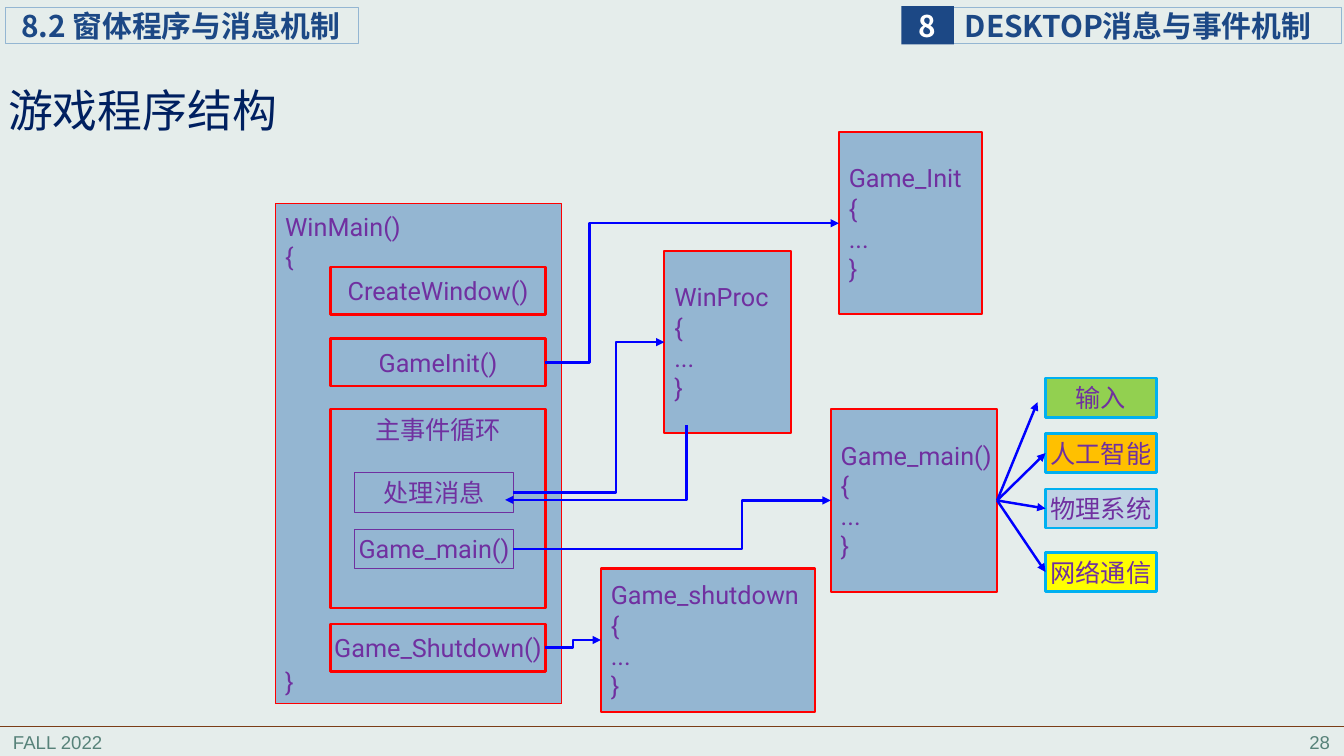
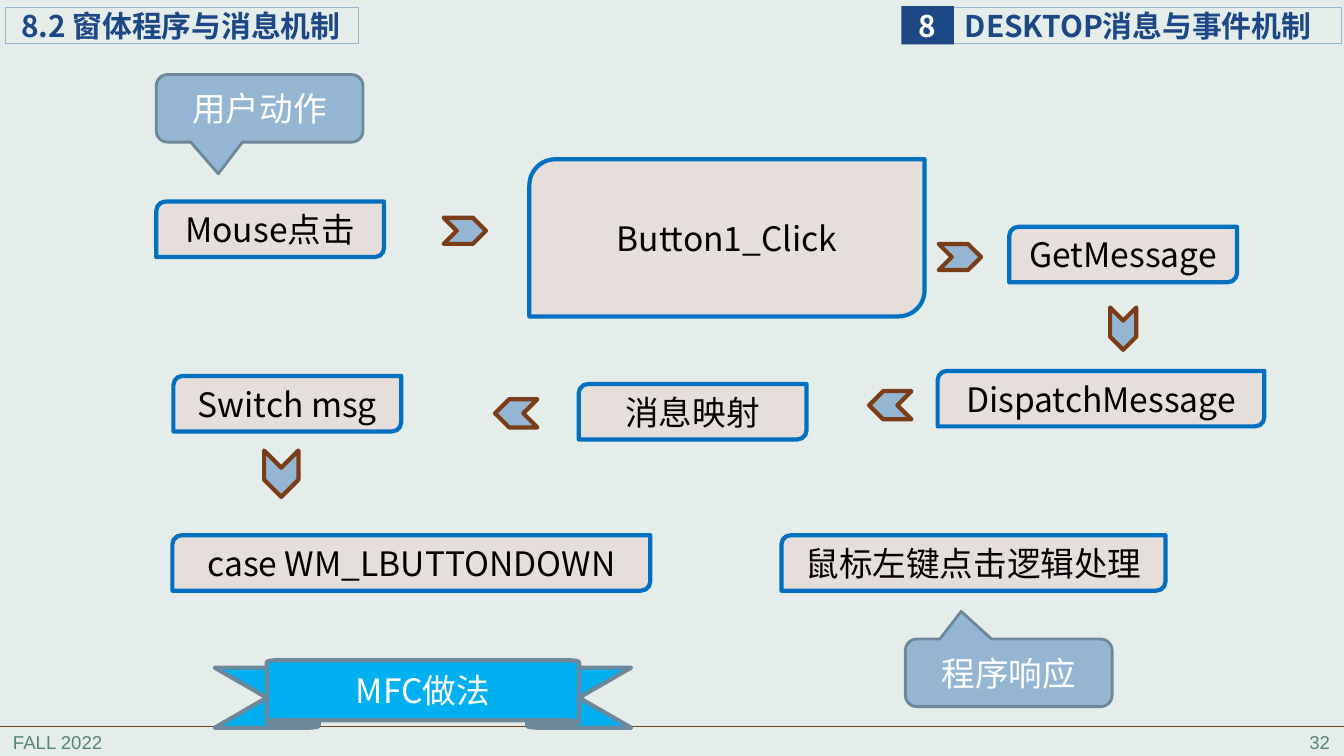
from lxml import etree
from pptx import Presentation
from pptx.dml.color import RGBColor
from pptx.enum.shapes import MSO_CONNECTOR, MSO_SHAPE
from pptx.enum.text import MSO_ANCHOR, PP_ALIGN
from pptx.oxml.ns import qn
from pptx.util import Inches, Pt

COLORS = {
    "background": "E5EDEB", "footer": "578279", "navy": "1C4885", "title": "002060",
    "blue": "94B6D2", "brown": "7B3D17", "white": "FFFFFF", "black": "000000",
    "red": "FF0000", "purple": "7030A0", "arrow": "0000FF", "cyan": "00B0F0",
    "green": "92D050", "orange": "FFC000", "pale": "BFD3E4", "yellow": "FFFF00",
    "beige": "E6DEDB", "step": "0070C0", "slate": "6D879B",
}
CJK = "Noto Sans CJK SC"
CODE = "Roboto"
FOOTER_FONT = "Arial"

LEFT, CENTER, RIGHT = PP_ALIGN.LEFT, PP_ALIGN.CENTER, PP_ALIGN.RIGHT
TOP, MIDDLE = MSO_ANCHOR.TOP, MSO_ANCHOR.MIDDLE
STRAIGHT, ELBOW = MSO_CONNECTOR.STRAIGHT, MSO_CONNECTOR.ELBOW
RECTANGLE, PROCESS = MSO_SHAPE.RECTANGLE, MSO_SHAPE.FLOWCHART_PROCESS
STEP, CHEVRON = MSO_SHAPE.ROUND_2_DIAG_RECTANGLE, MSO_SHAPE.CHEVRON
CALLOUT, RIBBON = MSO_SHAPE.ROUNDED_RECTANGULAR_CALLOUT, MSO_SHAPE.UP_RIBBON
LEFT_SIDE, RIGHT_SIDE = 1, 3


def rgb(name):
    return RGBColor.from_string(COLORS[name])


def add_span(para, text, size, color, font=CJK, bold=False):
    span = para.add_run()
    span.text = text
    span.font.size = Pt(size)
    span.font.bold = bold
    span.font.color.rgb = rgb(color)
    span.font.name = font
    east_asian = etree.SubElement(span.font._element, qn("a:ea"))
    east_asian.set("typeface", CJK)


def write_lines(frame, lines, size, color, font=CJK, bold=False, align=CENTER):
    for index, text in enumerate(lines):
        para = frame.add_paragraph() if index else frame.paragraphs[0]
        para.alignment = align
        add_span(para, text, size, color, font, bold)


def set_insets(frame, left, top=0, right=0, bottom=0):
    frame.margin_left, frame.margin_top = Inches(left), Inches(top)
    frame.margin_right, frame.margin_bottom = Inches(right), Inches(bottom)


def add_box(page, kind, place, fill=None, line=None, weight=1.0):
    box = page.shapes.add_shape(kind, *map(Inches, place))
    box.shadow.inherit = False
    if fill:
        box.fill.solid()
        box.fill.fore_color.rgb = rgb(fill)
    else:
        box.fill.background()
    if line:
        box.line.color.rgb = rgb(line)
        box.line.width = Pt(weight)
    else:
        box.line.fill.background()
    return box


def fill_text(box, lines, size, color, font=CJK, bold=False, align=CENTER,
              wrap=True, anchor=MIDDLE):
    frame = box.text_frame
    frame.word_wrap = wrap
    frame.vertical_anchor = anchor
    write_lines(frame, lines, size, color, font, bold, align)
    return frame


def add_footer_text(page, left, text, align):
    box = page.shapes.add_textbox(Inches(left), Inches(7.2), Inches(2.78), Inches(0.31))
    fill_text(box, [text], 13.3, "footer", FOOTER_FONT, align=align, anchor=TOP)
    return box


def add_line(page, kind, start, end, color, weight, arrow=True):
    line = page.shapes.add_connector(kind, *map(Inches, (*start, *end)))
    line.line.color.rgb = rgb(color)
    line.line.width = Pt(weight)
    properties = line.element.spPr
    if arrow:
        tail = etree.SubElement(properties.find(qn("a:ln")), qn("a:tailEnd"))
        tail.set("type", "triangle")
    etree.SubElement(properties, qn("a:effectLst"))
    return line


def side_middle(box, side):
    left = box.left + (box.width if side == RIGHT_SIDE else 0)
    return Inches(0) + left, box.top + box.height // 2


def add_call(page, source, target, bend):
    """Elbow arrow from source's right side to target's left; bend is a share of the run."""
    points = side_middle(source, RIGHT_SIDE) + side_middle(target, LEFT_SIDE)
    start, end = [[value / Inches(1) for value in points[i:i + 2]] for i in (0, 2)]
    call = add_line(page, ELBOW, start, end, "arrow", 1.75)
    guides = call.element.spPr.find(qn("a:prstGeom")).get_or_add_avLst()
    guide = etree.SubElement(guides, qn("a:gd"))
    guide.set("name", "adj1")
    guide.set("fmla", f"val {round(bend * 100000)}")


def add_return(page, start, end):
    """Arrow that drops from start, then runs left to end: a one-corner elbow turned 90°."""
    drop, run = end[1] - start[1], start[0] - end[0]
    middle_x, middle_y = (start[0] + end[0]) / 2, (start[1] + end[1]) / 2
    line = add_line(page, ELBOW, (middle_x - drop / 2, middle_y - run / 2),
                    (middle_x + drop / 2, middle_y + run / 2), "arrow", 1.75)
    properties = line.element.spPr
    properties.find(qn("a:prstGeom")).set("prst", "bentConnector2")
    properties.find(qn("a:xfrm")).set("rot", str(90 * 60000))


def build_master(deck, page):
    """Draw the shared bands and footer on page, then move them to the master."""
    master = deck.slide_master
    master.background.fill.solid()
    master.background.fill.fore_color.rgb = rgb("background")

    chapter = add_box(page, RECTANGLE, (9.45, 0.07, 3.86, 0.36), line="blue", weight=0.75)
    number = add_box(page, RECTANGLE, (8.94, 0.06, 0.52, 0.38), fill="navy")
    section = add_box(page, RECTANGLE, (0.05, 0.07, 3.51, 0.36), line="blue", weight=0.75)
    for box, text, color, inset, align in (
        (chapter, "DESKTOP消息与事件机制", "navy", 0.12, LEFT),
        (number, "8", "white", 0, CENTER),
        (section, "8.2 窗体程序与消息机制", "navy", 0.16, LEFT),
    ):
        frame = fill_text(box, [text], 21.3, color, bold=True, align=align)
        set_insets(frame, inset)
    rule = add_line(page, STRAIGHT, (0, 7.21), (13.33, 7.21), "brown", 0.5, arrow=False)
    term = add_footer_text(page, 0.03, "FALL 2022", LEFT)

    for identifier, part in enumerate((term, chapter, number, rule, section), 101):
        part.element.xpath(".//p:cNvPr")[0].set("id", str(identifier))
        master.shapes.element.append(part.element)


def add_title(page, text):
    title = page.shapes.title
    title.left, title.top, title.width, title.height = map(Inches, (0, 0.4, 11.5, 1.45))
    frame = fill_text(title, [text], 32, "title", align=LEFT)
    set_insets(frame, 0.08, 0.04, 0.08, 0.04)
    frame.paragraphs[0].line_spacing = 0.9


def add_function(page, name, place):
    box = add_box(page, RECTANGLE, place, "blue", "red", 1.5)
    fill_text(box, [name, "{", "...", "}"], 18, "purple", CODE, align=LEFT, wrap=False)
    return box


def add_label(page, text, place, fill="blue", line="red", weight=1.75, anchor=MIDDLE):
    box = add_box(page, RECTANGLE, place, fill, line, weight)
    fill_text(box, [text], 18, "purple", CODE, wrap=False, anchor=anchor)
    return box


def build_structure(page):
    add_title(page, "游戏程序结构")

    main_box = add_box(page, PROCESS, (2.73, 2.02, 2.84, 4.96), "blue", "red", 0.75)
    frame = fill_text(main_box, ["WinMain()", "{", "}"], 18, "purple", CODE,
                      align=LEFT, wrap=False)
    frame.paragraphs[-1].space_before = Pt(282)

    shutdown_call, _, init_call = [
        add_label(page, text, (3.28, top, 2.13, 0.47))
        for text, top in (("Game_Shutdown()", 6.19), ("CreateWindow()", 2.65),
                          ("GameInit()", 3.36))
    ]
    add_label(page, "主事件循环", (3.28, 4.06, 2.13, 1.97), anchor=TOP)
    message_call, main_call = [
        add_label(page, text, (3.52, top, 1.57, 0.39), line="purple", weight=0.75)
        for text, top in (("处理消息", 4.69), ("Game_main()", 5.25))
    ]

    win_proc = add_function(page, "WinProc", (6.59, 2.49, 1.26, 1.81))
    game_init = add_function(page, "Game_Init", (8.32, 1.31, 1.42, 1.81))
    game_main = add_function(page, "Game_main()", (8.24, 4.06, 1.65, 1.81))
    game_shutdown = add_function(page, "Game_shutdown", (5.96, 5.64, 2.12, 1.42))

    modules = [
        add_label(page, text, (10.37, top, 1.1, 0.39), fill, "cyan")
        for text, top, fill in (("输入", 3.75, "green"), ("人工智能", 4.3, "orange"),
                                ("物理系统", 4.85, "pale"), ("网络通信", 5.48, "yellow"))
    ]

    for source, target, bend in (
        (main_call, game_main, 0.72), (message_call, win_proc, 0.68),
        (init_call, game_init, 0.15), (shutdown_call, game_shutdown, 0.5),
    ):
        add_call(page, source, target, bend)
    add_return(page, (6.81, 4.22), (5.01, 4.96))

    for index, module in enumerate(modules):
        arrow = add_line(page, STRAIGHT, (9.89, 4.97), (10.29, 3.99), "arrow", 1.75)
        arrow.begin_connect(game_main, RIGHT_SIDE)
        if index:  # the first arrow stops short of its module
            arrow.end_connect(module, LEFT_SIDE)


def build_message_flow(page):
    for text, left, top, width, height in (
        ("Mouse点击", 1.55, 2, 2.26, 0.55),
        ("Button1_Click", 5.25, 1.58, 3.92, 1.56),
        ("GetMessage", 10.01, 2.25, 2.26, 0.55),
        ("Switch msg", 1.72, 3.73, 2.26, 0.55),
        ("消息映射", 5.74, 3.81, 2.26, 0.55),
        ("DispatchMessage", 9.3, 3.68, 3.24, 0.55),
        ("case WM_LBUTTONDOWN", 1.71, 5.31, 4.74, 0.55),
        ("鼠标左键点击逻辑处理", 7.75, 5.31, 3.81, 0.55),
    ):
        box = add_box(page, STEP, (left, top, width, height), "beige", "step", 3)
        fill_text(box, [text], 24, "black")

    for text, left, top, tip in (("用户动作", 1.55, 0.74, (-0.2, 0.97)),
                                 ("程序响应", 8.98, 6.34, (-0.23, -0.91))):
        callout = add_box(page, CALLOUT, (left, top, 2.05, 0.67), "blue", "slate", 2)
        callout.adjustments[0], callout.adjustments[1] = tip
        fill_text(callout, [text], 24, "white")

    for left, top, width, height, turn in (
        (4.4, 2.16, 0.42, 0.26, 0), (9.31, 2.42, 0.42, 0.26, 0),
        (10.93, 3.13, 0.42, 0.26, 90), (8.62, 3.88, 0.42, 0.28, 180),
        (4.91, 3.96, 0.42, 0.28, 180), (2.56, 4.53, 0.46, 0.34, 90),
    ):
        chevron = add_box(page, CHEVRON, (left, top, width, height), "blue", "brown", 3)
        chevron.rotation = turn

    ribbon = add_box(page, RIBBON, (2.13, 6.55, 4.13, 0.67), "cyan", "slate", 3)
    ribbon.adjustments[0], ribbon.adjustments[1] = 0.11, 0.75
    fill_text(ribbon, ["MFC做法"], 24, "white")


def main():
    deck = Presentation()
    deck.slide_width, deck.slide_height = Inches(13.33), Inches(7.5)
    title_only, blank = deck.slide_layouts[5], deck.slide_layouts[6]
    structure = deck.slides.add_slide(title_only)
    message_flow = deck.slides.add_slide(blank)
    build_master(deck, message_flow)
    for page, number, build in ((structure, "28", build_structure),
                                (message_flow, "32", build_message_flow)):
        add_footer_text(page, 10.51, number, RIGHT)
        build(page)
    deck.save("out.pptx")


if __name__ == "__main__":
    main()
